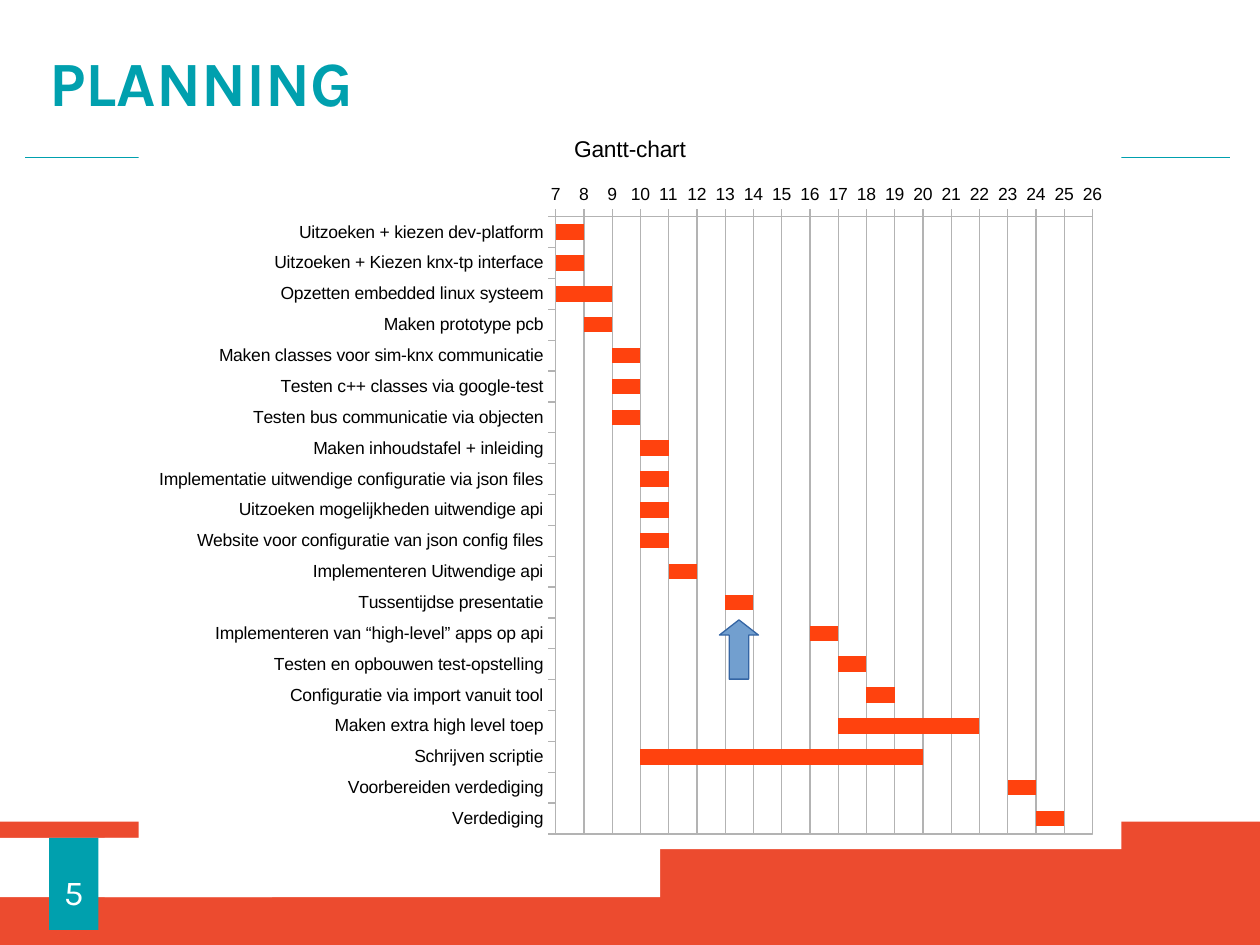
import pptx
import pptx.util
import pptx.chart.data
import pptx.dml.color
import pptx.enum.chart
import pptx.enum.shapes
import pptx.enum.text
import pptx.oxml
import lxml.etree

WIDTH, HEIGHT = 10, 7.5
BAND_TOP, STEP_TOP, STEP_HEIGHT = 6.52, 6.65, 0.47
GANTT_BOX = (1.1, 0.87, 7.8, 5.87)
GRID_BOX = (4.41, 1.72, 4.26, 4.9)
COLORS = {"teal": "00A0AE", "red": "EC4B2F", "white": "FFFFFF", "black": "000000",
          "bar": "FF420E", "grid": "B3B3B3", "arrow": "729FCF", "arrow_edge": "3465A4"}
FIRST_WEEK, LAST_WEEK = 7, 26
# Task, start week, number of weeks
TASKS = [
    ("Uitzoeken + kiezen dev-platform", 7, 1),
    ("Uitzoeken + Kiezen knx-tp interface", 7, 1),
    ("Opzetten embedded linux systeem", 7, 2),
    ("Maken prototype pcb", 8, 1),
    ("Maken classes voor sim-knx communicatie", 9, 1),
    ("Testen c++ classes via google-test", 9, 1),
    ("Testen bus communicatie via objecten", 9, 1),
    ("Maken inhoudstafel + inleiding", 10, 1),
    ("Implementatie uitwendige configuratie via json files", 10, 1),
    ("Uitzoeken mogelijkheden uitwendige api", 10, 1),
    ("Website voor configuratie van json config files", 10, 1),
    ("Implementeren Uitwendige api", 11, 1),
    ("Tussentijdse presentatie", 13, 1),
    ("Implementeren van “high-level” apps op api", 16, 1),
    ("Testen en opbouwen test-opstelling", 17, 1),
    ("Configuratie via import vanuit tool", 18, 1),
    ("Maken extra high level toep", 17, 5),
    ("Schrijven scriptie", 10, 10),
    ("Voorbereiden verdediging", 23, 1),
    ("Verdediging", 24, 1),
]


def inches(*lengths):
    return [pptx.util.Inches(length) for length in lengths]


def rgb(name):
    return pptx.dml.color.RGBColor.from_string(COLORS[name])


def style_font(font, size, color, name="Arial", bold=False):
    font.size, font.name, font.bold = pptx.util.Pt(size), name, bold
    font.color.rgb = rgb(color)


def style_line(line, color, width=0.75):
    line.color.rgb = rgb(color)
    line.width = pptx.util.Pt(width)


def set_margins(frame, left, top, right, bottom):
    (frame.margin_left, frame.margin_top,
     frame.margin_right, frame.margin_bottom) = inches(left, top, right, bottom)
    frame.vertical_anchor = pptx.enum.text.MSO_ANCHOR.MIDDLE


def add_block(slide, box, fill, kind=pptx.enum.shapes.MSO_SHAPE.RECTANGLE):
    block = slide.shapes.add_shape(kind, *inches(*box))
    block.shadow.inherit = False
    block.fill.solid()
    block.fill.fore_color.rgb = rgb(fill)
    block.line.fill.background()
    return block


def add_rule(slide, left, right, y):
    rule = slide.shapes.add_connector(
        pptx.enum.shapes.MSO_CONNECTOR.STRAIGHT, *inches(left, y, right, y))
    style_line(rule.line, "teal", 0.51)
    lxml.etree.SubElement(rule._element.spPr, pptx.oxml.ns.qn("a:effectLst"))


def set_title(slide, text):
    title = slide.shapes.title
    title.left, title.top, title.width, title.height = inches(0, 0, WIDTH, 1.25)
    frame = title.text_frame
    frame.text = text
    set_margins(frame, 0.39, 0.2, 0.39, 0.16)
    heading = frame.paragraphs[0]
    heading.alignment = pptx.enum.text.PP_ALIGN.LEFT
    style_font(heading.font, 36, "teal", "Karla", True)


def add_page_number(slide, number):
    badge = add_block(slide, (0.39, STEP_TOP, 0.39, 0.73), "teal")
    badge.text_frame.text = number
    set_margins(badge.text_frame, 0, 0.12, 0, 0)
    label = badge.text_frame.paragraphs[0]
    label.alignment = pptx.enum.text.PP_ALIGN.CENTER
    style_font(label.font, 20, "white", "Karla")


def style_axis(axis):
    style_font(axis.tick_labels.font, 10, "black")
    style_line(axis.format.line, "grid")
    axis.major_tick_mark = pptx.enum.chart.XL_TICK_MARK.OUTSIDE
    axis.minor_tick_mark = pptx.enum.chart.XL_TICK_MARK.NONE


def chart_area_format(fill, line):
    paints = [f'<a:solidFill><a:srgbClr val="{COLORS[color]}"/></a:solidFill>'
              if color else "<a:noFill/>" for color in (fill, line)]
    return pptx.oxml.parse_xml(
        f'<c:spPr {pptx.oxml.ns.nsdecls("c", "a")}>{paints[0]}'
        f'<a:ln w="{pptx.util.Pt(0.75)}">{paints[1]}</a:ln></c:spPr>')


def set_plot_area(chart, chart_box, plot_box):
    """Fix the inner plot area and give it a border."""
    left, top, width, height = chart_box
    x, y, w, h = plot_box
    shares = {"x": (x - left) / width, "y": (y - top) / height,
              "w": w / width, "h": h / height}
    entries = "".join(f'<c:{key} val="{share:.4f}"/>' for key, share in shares.items())
    layout = pptx.oxml.parse_xml(
        f'<c:layout {pptx.oxml.ns.nsdecls("c")}><c:manualLayout>'
        f'<c:layoutTarget val="inner"/><c:xMode val="edge"/><c:yMode val="edge"/>'
        f'{entries}</c:manualLayout></c:layout>')
    plot_area = chart._chartSpace.chart.plotArea
    for old in plot_area.findall(pptx.oxml.ns.qn("c:layout")):
        plot_area.remove(old)
    plot_area.insert(0, layout)
    plot_area.append(chart_area_format(None, "grid"))


def add_gantt(slide, box, plot_box):
    names, starts, durations = zip(*TASKS)
    data = pptx.chart.data.CategoryChartData()
    data.categories = names
    data.add_series("Series 1", starts)
    data.add_series("Series 2", durations)
    chart = slide.shapes.add_chart(
        pptx.enum.chart.XL_CHART_TYPE.BAR_STACKED, *inches(*box), data).chart
    style_font(chart.font, 10, "black")
    chart.has_legend = False
    chart.has_title = True
    chart.chart_title.text_frame.text = "Gantt-chart"
    style_font(chart.chart_title.text_frame.paragraphs[0].font, 13, "black")
    chart._chartSpace.chart.addnext(chart_area_format("white", None))
    set_plot_area(chart, box, plot_box)

    # Tasks run downwards, weeks run along the top
    tasks, weeks = chart.category_axis, chart.value_axis
    style_axis(tasks)
    style_axis(weeks)
    tasks.reverse_order = True
    weeks.minimum_scale, weeks.maximum_scale = FIRST_WEEK, LAST_WEEK
    weeks.major_unit = 1
    weeks.has_major_gridlines = True
    style_line(weeks.major_gridlines.format.line, "grid")

    # The start series only offsets the visible bars
    plot = chart.plots[0]
    plot.gap_width, plot.overlap, plot.vary_by_categories = 100, 100, False
    offset, bars = plot.series
    offset.format.fill.background()
    bars.format.fill.solid()
    bars.format.fill.fore_color.rgb = rgb("bar")


def add_today_arrow(slide, box):
    arrow = add_block(slide, box, "arrow", pptx.enum.shapes.MSO_SHAPE.UP_ARROW)
    arrow.adjustments[0], arrow.adjustments[1] = 0.5, 0.39
    style_line(arrow.line, "arrow_edge")


def main():
    deck = pptx.Presentation()
    deck.slide_width, deck.slide_height = inches(WIDTH, HEIGHT)
    slide = deck.slides.add_slide(deck.slide_layouts[5])

    # Header and stepped footer band
    set_title(slide, "PLANNING")
    add_block(slide, (0, BAND_TOP, WIDTH, HEIGHT - BAND_TOP), "red")
    add_block(slide, (0, STEP_TOP, 2.16, STEP_HEIGHT), "white")
    add_rule(slide, 0.2, 9.76, 1.25)
    add_page_number(slide, "5")
    add_block(slide, (0.83, STEP_TOP, 4.41, STEP_HEIGHT), "white")

    # Schedule with the current moment marked
    add_gantt(slide, GANTT_BOX, GRID_BOX)
    add_today_arrow(slide, (5.71, 4.92, 0.31, 0.47))

    deck.save("out.pptx")


main()
